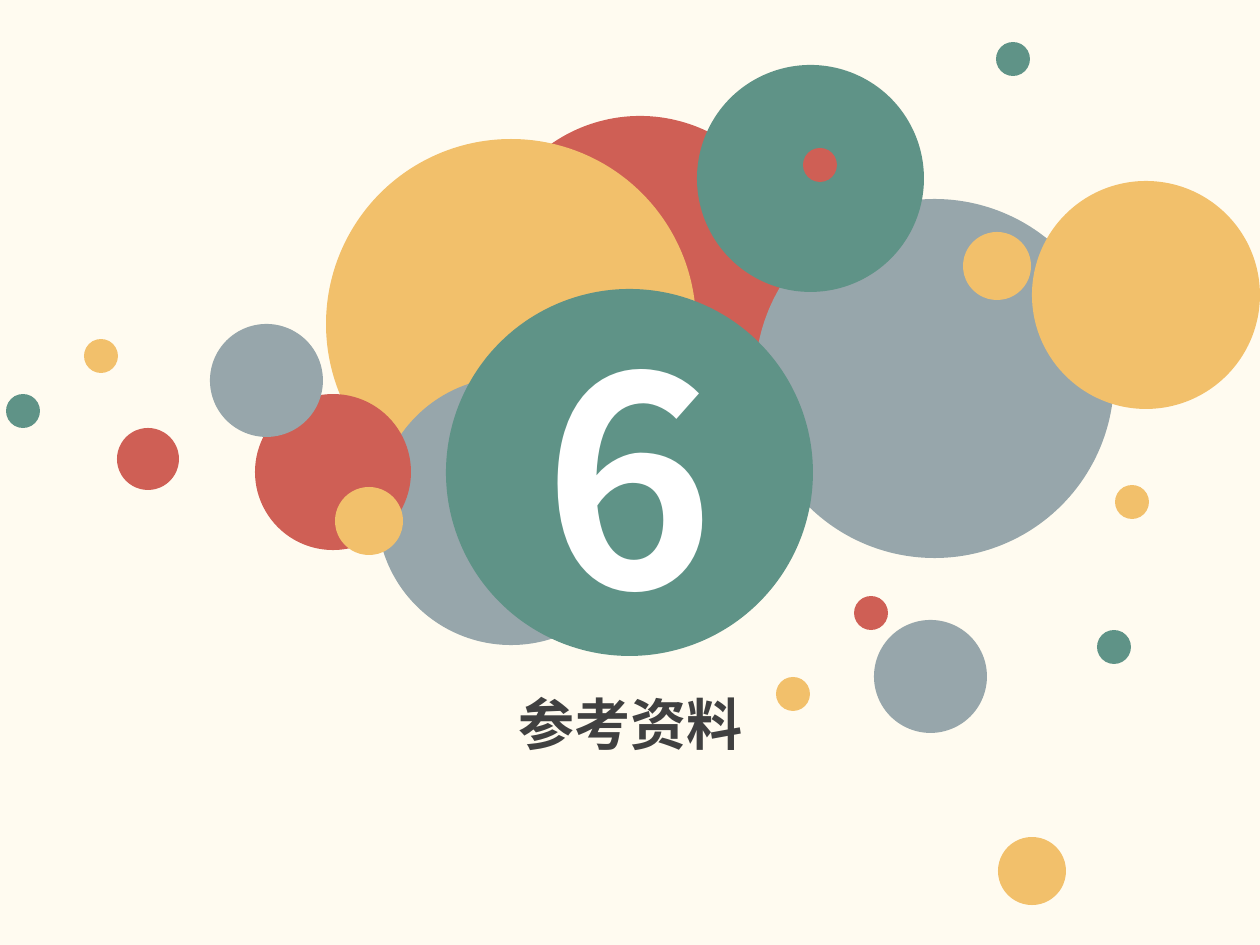
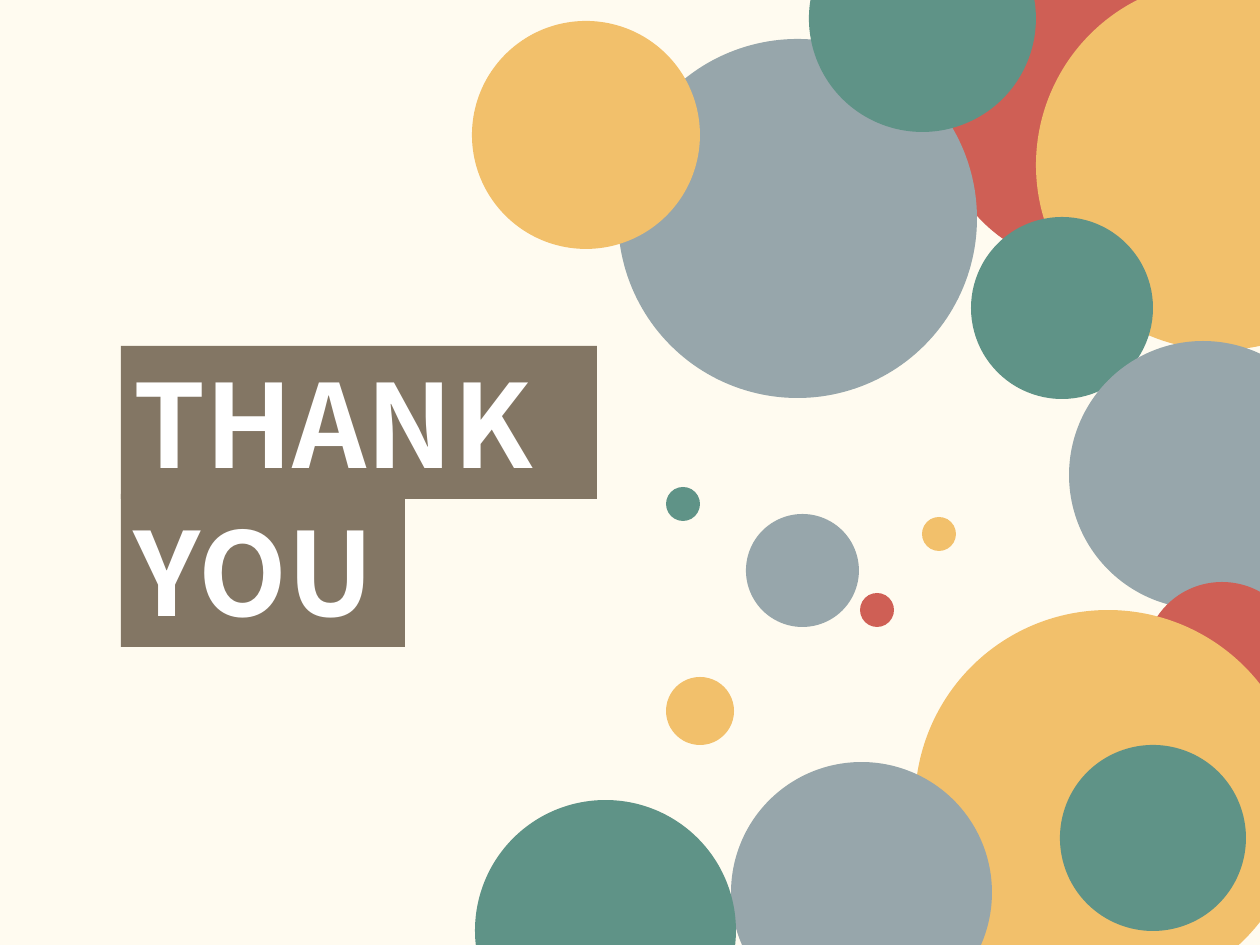
from pptx import Presentation
from pptx.dml.color import RGBColor
from pptx.enum.shapes import MSO_SHAPE
from pptx.enum.text import MSO_ANCHOR, PP_ALIGN
from pptx.util import Emu, Pt

OVAL, RECTANGLE = MSO_SHAPE.OVAL, MSO_SHAPE.RECTANGLE
MIDDLE = MSO_ANCHOR.MIDDLE
LEFT, CENTER = PP_ALIGN.LEFT, PP_ALIGN.CENTER

EMU_PER_PX = 914400 / 126
PAGE_WIDTH, PAGE_HEIGHT = 1260, 945
FONT = "Noto Sans CJK SC"

CREAM = RGBColor(0xFF, 0xFB, 0xF0)
RED = RGBColor(0xCF, 0x5F, 0x55)
YELLOW = RGBColor(0xF2, 0xC0, 0x6B)
GREY = RGBColor(0x97, 0xA6, 0xAB)
GREEN = RGBColor(0x5F, 0x93, 0x87)
BROWN = RGBColor(0x83, 0x76, 0x64)
CHARCOAL = RGBColor(0x40, 0x40, 0x40)
WHITE = RGBColor(0xFF, 0xFF, 0xFF)

# Diameters that recur on both slides
DOT, BEAD, BALL, DISC = 34, 68, 113, 156
GREEN_DISC, YELLOW_DISC = 227, 228
GREY_DISC, RED_DISC, BIG_GREY, BIG_YELLOW = 268, 310, 359, 370

# left, top, diameter, colour, from back to front
SECTION_CIRCLES = [
    (485, 116, RED_DISC, RED),
    (326, 139, BIG_YELLOW, YELLOW),
    (377, 377, GREY_DISC, GREY),
    (755, 199, BIG_GREY, GREY),
    (697, 65, GREEN_DISC, GREEN),
    (255, 394, DISC, RED),
    (874, 620, BALL, GREY),
    (854, 596, DOT, RED),
    (776, 677, DOT, YELLOW),
    (1097, 630, DOT, GREEN),
    (998, 837, BEAD, YELLOW),
    (1032, 181, YELLOW_DISC, YELLOW),
    (210, 324, BALL, GREY),
    (117, 428, 62, RED),
    (84, 339, DOT, YELLOW),
    (6, 394, DOT, GREEN),
    (335, 487, BEAD, YELLOW),
    (803, 148, DOT, RED),
    (1115, 485, DOT, YELLOW),
    (996, 42, DOT, GREEN),
    (963, 232, BEAD, YELLOW),
]
CLOSING_CIRCLES = [
    (937, -43, RED_DISC, RED),
    (1036, -20, BIG_YELLOW, YELLOW),
    (971, 217, 182, GREEN),
    (1069, 341, GREY_DISC, GREY),
    (618, 39, BIG_GREY, GREY),
    (809, -95, GREEN_DISC, GREEN),
    (1144, 582, DISC, RED),
    (915, 610, 386, YELLOW),
    (1060, 745, 186, GREEN),
    (731, 762, 261, GREY),
    (475, 800, 261, GREEN),
    (746, 514, BALL, GREY),
    (860, 593, DOT, RED),
    (922, 517, DOT, YELLOW),
    (666, 487, DOT, GREEN),
    (666, 677, BEAD, YELLOW),
    (472, 21, YELLOW_DISC, YELLOW),
]


def px(length):
    return Emu(round(length * EMU_PER_PX))


def add_page(deck):
    page = deck.slides.add_slide(deck.slide_layouts[6])
    page.background.fill.solid()
    page.background.fill.fore_color.rgb = CREAM
    return page


def add_filled_shape(page, kind, left, top, width, height, color):
    shape = page.shapes.add_shape(kind, px(left), px(top), px(width), px(height))
    shape.shadow.inherit = False
    shape.fill.solid()
    shape.fill.fore_color.rgb = color
    shape.line.fill.background()
    return shape


def add_circle(page, left, top, diameter, color):
    return add_filled_shape(page, OVAL, left, top, diameter, diameter, color)


def write(box, text, size, color, alignment):
    """Put one bold line in the box, centred vertically."""
    frame = box.text_frame
    frame.word_wrap = True
    frame.vertical_anchor = MIDDLE
    frame.margin_top = frame.margin_bottom = 0
    para = frame.paragraphs[0]
    para.text = text
    para.alignment = alignment
    para.font.name = FONT
    para.font.size = Pt(size)
    para.font.bold = True
    para.font.color.rgb = color


def build_section_page(deck, number, title):
    page = add_page(deck)
    for circle in SECTION_CIRCLES:
        add_circle(page, *circle)
    write(add_circle(page, 446, 289, 367, GREEN), number, 166, WHITE, CENTER)
    title_box = page.shapes.add_textbox(px(251), px(683), px(760), px(81))
    write(title_box, title, 32, CHARCOAL, CENTER)


def build_closing_page(deck):
    page = add_page(deck)
    for circle in CLOSING_CIRCLES:
        add_circle(page, *circle)
    for word, top, width in (("THANK", 346, 476), ("YOU", 494, 284)):
        band = add_filled_shape(page, RECTANGLE, 121, top, width, 153, BROWN)
        write(band, word, 66, WHITE, LEFT)


def main():
    deck = Presentation()
    deck.slide_width, deck.slide_height = px(PAGE_WIDTH), px(PAGE_HEIGHT)
    build_section_page(deck, "6", "参考资料")
    build_closing_page(deck)
    deck.save("out.pptx")


if __name__ == "__main__":
    main()
